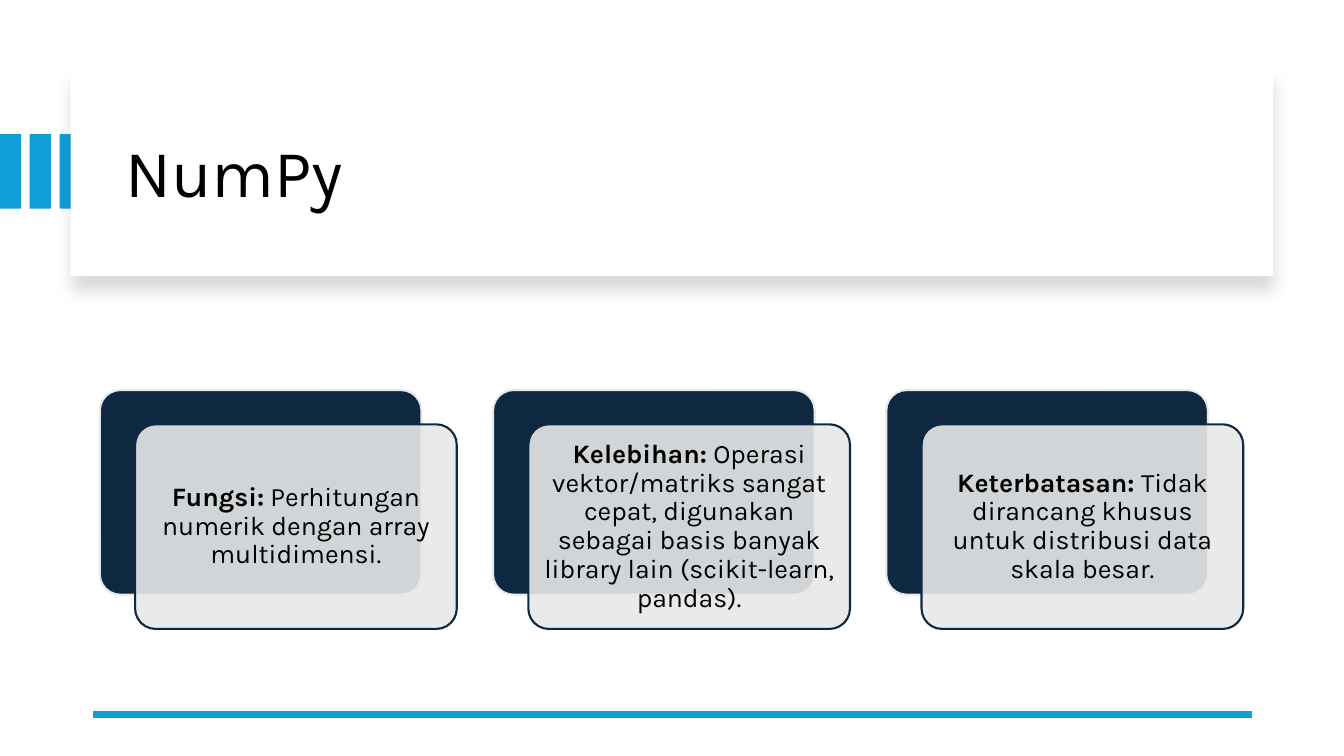
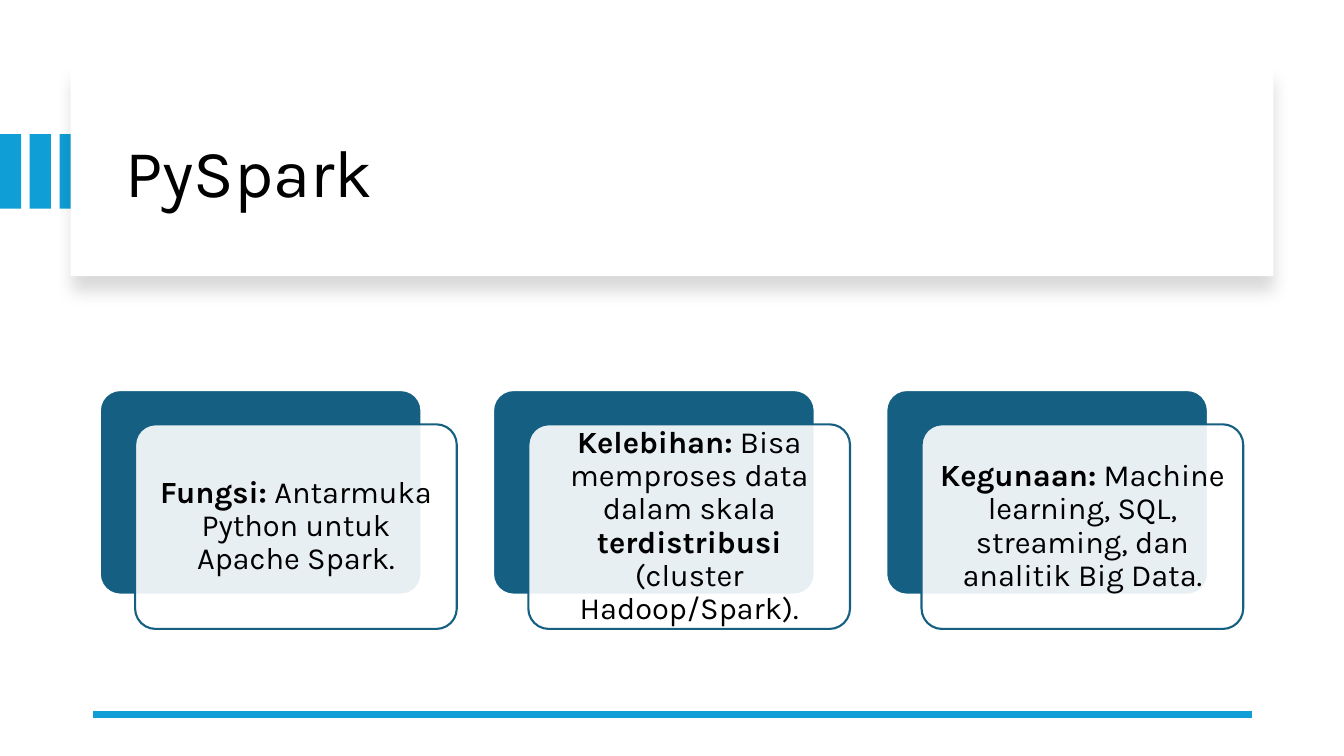
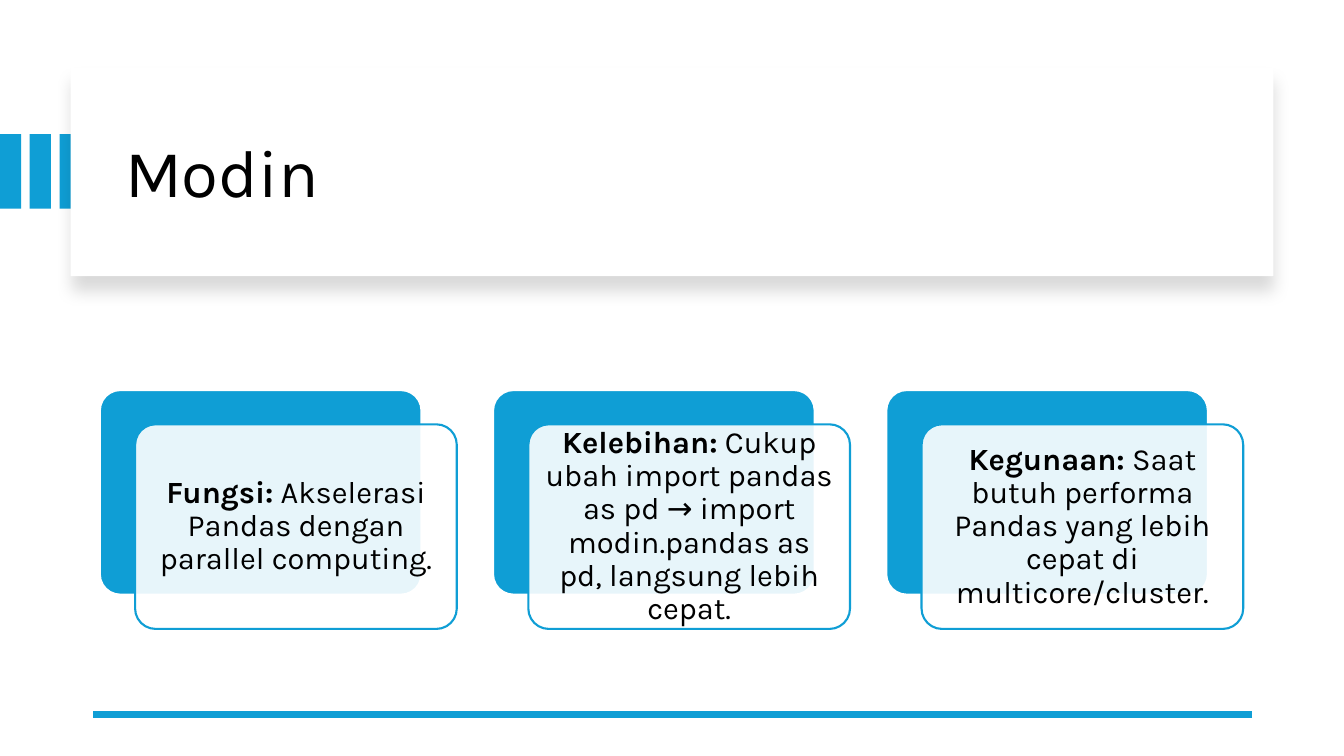
from dataclasses import dataclass

from lxml import etree
from pptx import Presentation
from pptx import util as u
from pptx.dml.color import RGBColor
from pptx.enum import shapes, text
from pptx.oxml import ns

FONT = "Karla"
BLACK = RGBColor(0x00, 0x00, 0x00)
WHITE = RGBColor(0xFF, 0xFF, 0xFF)
NAVY = RGBColor(0x0E, 0x28, 0x41)
TEAL = RGBColor(0x15, 0x60, 0x82)
SKY = RGBColor(0x0F, 0x9E, 0xD5)
PALE = RGBColor(0xE8, 0xE8, 0xE8)

CARD_LEFT, CARD_TOP, CARD_STEP = 0.99, 3.87, 3.9
CARD_WIDTH, CARD_HEIGHT = 3.19, 2.03
FRONT_SHIFT_X, FRONT_SHIFT_Y = 0.35, 0.34
STRIPE_STEP = 0.295

TITLE_FORMAT = {"name": FONT, "size": u.Pt(48), "bold": False}


@dataclass(frozen=True)
class Theme:
    strong: RGBColor
    light: RGBColor
    size: int
    inset: float


@dataclass(frozen=True)
class Topic:
    title: str
    theme: Theme
    cards: tuple[tuple[str, ...], ...]  # runs alternate bold and regular


TOPICS = (
    Topic("NumPy", Theme(NAVY, PALE, 19, 0.08), (
        ("Fungsi:", " Perhitungan numerik dengan array multidimensi."),
        ("Kelebihan:", " Operasi vektor/matriks sangat cepat, digunakan sebagai "
                       "basis banyak library lain (scikit-learn, pandas)."),
        ("Keterbatasan:", " Tidak dirancang khusus untuk distribusi data skala besar."),
    )),
    Topic("PySpark", Theme(TEAL, WHITE, 22, 0.09), (
        ("Fungsi:", " Antarmuka Python untuk Apache Spark."),
        ("Kelebihan:", " Bisa memproses data dalam skala ",
         "terdistribusi", " (cluster Hadoop/Spark)."),
        ("Kegunaan:", " Machine learning, SQL, streaming, dan analitik Big Data."),
    )),
    Topic("Modin", Theme(SKY, WHITE, 22, 0.09), (
        ("Fungsi:", " Akselerasi Pandas dengan parallel computing."),
        ("Kelebihan:", " Cukup ubah import pandas as pd → import modin.pandas as pd, "
                       "langsung lebih cepat."),
        ("Kegunaan:", " Saat butuh performa Pandas yang lebih cepat di multicore/cluster."),
    )),
)


def apply(target, values: dict) -> None:
    for name, value in values.items():
        setattr(target, name, value)


def add_block(page, kind, left: float, top: float, width: float, height: float,
              fill: RGBColor, line: RGBColor | None = None):
    """Add a filled preset shape without a shadow."""
    block = page.shapes.add_shape(kind, u.Inches(left), u.Inches(top),
                                  u.Inches(width), u.Inches(height))
    block.shadow.inherit = False
    block.fill.solid()
    block.fill.fore_color.rgb = fill
    if line is None:
        block.line.fill.background()
    else:
        block.line.color.rgb = line
        block.line.width = u.Pt(1.5)
    return block


def set_alpha(parent, percent: int) -> None:
    color = parent.find(".//" + ns.qn("a:srgbClr"))
    etree.SubElement(color, ns.qn("a:alpha")).set("val", str(percent * 1000))


def add_soft_shadow(block) -> None:
    effects = block.element.spPr.find(ns.qn("a:effectLst"))
    shadow = etree.SubElement(effects, ns.qn("a:outerShdw"), {
        "blurRad": str(u.Pt(11)), "dist": str(u.Pt(10)), "dir": "5400000",
        "algn": "t", "rotWithShape": "0"})
    etree.SubElement(shadow, ns.qn("a:srgbClr")).set("val", str(BLACK))
    set_alpha(shadow, 15)


def add_frame(page, heading: str) -> None:
    """Draw the stripes, title panel, title and bottom rule."""
    rect = shapes.MSO_SHAPE.RECTANGLE
    for index in range(3):
        add_block(page, rect, index * STRIPE_STEP, 1.33, 0.21, 0.74, SKY)
    add_soft_shadow(add_block(page, rect, 0.7, 0.67, 11.93, 2.07, WHITE))

    # Title, brought in front of its panel
    title = page.shapes.title
    apply(title, {"left": u.Inches(1.14), "top": u.Inches(0.89),
                  "width": u.Inches(11.13), "height": u.Inches(1.7)})
    title.element.getparent().append(title.element)
    apply(title.text_frame, {"text": heading, "word_wrap": True,
                             "auto_size": text.MSO_AUTO_SIZE.NONE,
                             "vertical_anchor": text.MSO_ANCHOR.MIDDLE})
    para = title.text_frame.paragraphs[0]
    apply(para, {"alignment": text.PP_ALIGN.LEFT, "line_spacing": 0.9})
    span = para.runs[0]
    apply(span.font, TITLE_FORMAT)
    span.font.color.rgb = BLACK

    # Bottom rule
    rule = page.shapes.add_connector(shapes.MSO_CONNECTOR.STRAIGHT,
                                     u.Inches(12.42), u.Inches(7.09),
                                     u.Inches(0.92), u.Inches(7.09))
    rule.line.color.rgb = SKY
    rule.line.width = u.Pt(4.5)
    etree.SubElement(rule.element.spPr, ns.qn("a:effectLst"))


def add_card(page, left: float, runs: tuple[str, ...], theme: Theme) -> None:
    """Draw a solid card with a translucent text card shifted over it."""
    rounded = shapes.MSO_SHAPE.ROUNDED_RECTANGLE
    back = add_block(page, rounded, left, CARD_TOP, CARD_WIDTH, CARD_HEIGHT,
                     theme.strong, theme.light)
    front = add_block(page, rounded, left + FRONT_SHIFT_X, CARD_TOP + FRONT_SHIFT_Y,
                      CARD_WIDTH, CARD_HEIGHT, theme.light, theme.strong)
    for card in (back, front):
        card.adjustments[0] = 0.1
    set_alpha(front.element.spPr.find(ns.qn("a:solidFill")), 90)

    box = front.text_frame
    apply(box, {"word_wrap": True, "vertical_anchor": text.MSO_ANCHOR.MIDDLE})
    apply(box, {f"margin_{side}": u.Inches(theme.inset)
                for side in ("left", "top", "right", "bottom")})
    para = box.paragraphs[0]
    apply(para, {"alignment": text.PP_ALIGN.CENTER, "line_spacing": 0.9})
    for index, words in enumerate(runs):
        span = para.add_run()
        span.text = words
        apply(span.font, {"name": FONT, "size": u.Pt(theme.size), "bold": index % 2 == 0})
        span.font.color.rgb = BLACK


def main() -> None:
    deck = Presentation()
    deck.slide_width, deck.slide_height = u.Inches(13.33), u.Inches(7.5)
    title_only = deck.slide_layouts[5]
    for topic in TOPICS:
        page = deck.slides.add_slide(title_only)
        add_frame(page, topic.title)
        for index, runs in enumerate(topic.cards):
            add_card(page, CARD_LEFT + index * CARD_STEP, runs, topic.theme)
    deck.save("out.pptx")


if __name__ == "__main__":
    main()
